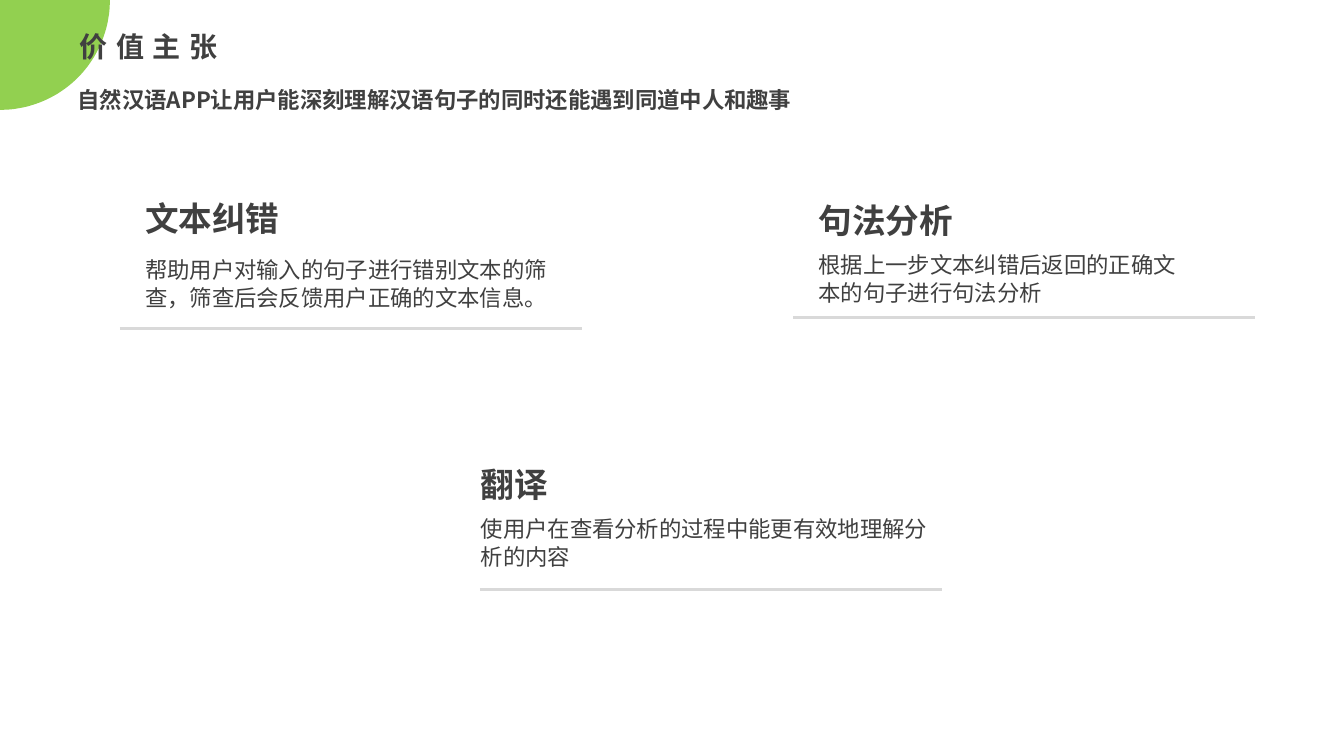
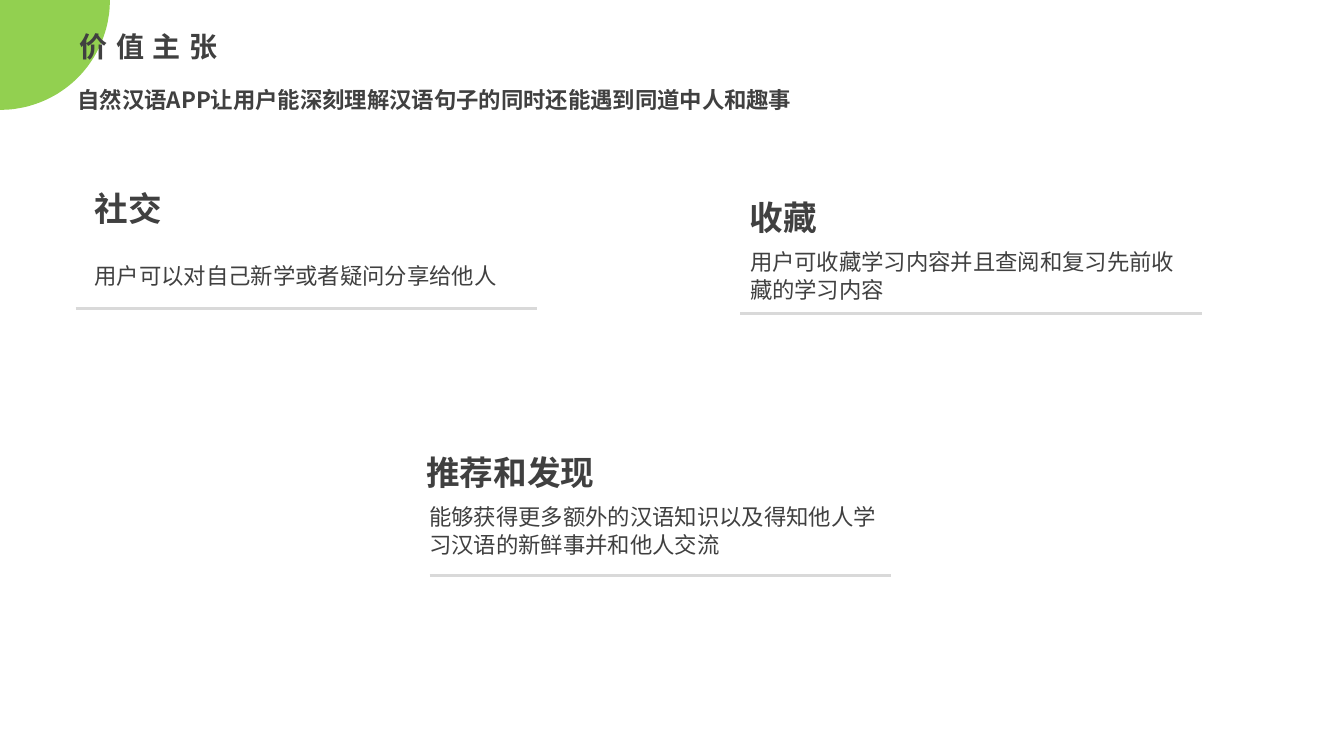
import math
from dataclasses import dataclass

from lxml import etree
from pptx import Presentation
from pptx.dml.color import RGBColor
from pptx.enum import shapes, text
from pptx.oxml.ns import qn
from pptx.util import Inches, Pt


@dataclass(frozen=True)
class Theme:
    ink: str = "404040"
    rule: str = "D9D9D9"
    accent: str = "92D050"
    font: str = "Noto Sans CJK SC"
    title_font: str = "Roboto"
    title_size: int = 20
    heading_size: int = 24
    body_size: int = 16
    body_leading: int = 20
    rule_width: int = 2


THEME = Theme()
TITLE = "价值主张"
SUBTITLE = "自然汉语APP让用户能深刻理解汉语句子的同时还能遇到同道中人和趣事"
RULE_LENGTH = 4.58
HEADING_HEIGHT = 0.5

SLIDES = [
    [
        dict(heading="文本纠错", body="帮助用户对输入的句子进行错别文本的筛查，筛查后会反馈用户正确的文本信息。",
             left=1.34, top=1.91, width=4.31, gap=0.07, rule=(1.19, 3.26)),
        dict(heading="句法分析", body="根据上一步文本纠错后返回的正确文本的句子进行句法分析",
             left=8.02, top=1.93, width=3.86, rule=(7.87, 3.15)),
        dict(heading="翻译", body="使用户在查看分析的过程中能更有效地理解分析的内容",
             left=4.67, top=4.55, width=4.67, rule=(4.76, 5.85)),
    ],
    [
        dict(heading="社交", body="用户可以对自己新学或者疑问分享给他人",
             left=0.84, top=1.82, width=4.49, height=0.38, gap=0.22, rule=(0.75, 3.06)),
        dict(heading="收藏", body="用户可收藏学习内容并且查阅和复习先前收藏的学习内容",
             left=7.34, top=1.9, width=4.45, rule=(7.34, 3.11)),
        dict(heading="推荐和发现", body="能够获得更多额外的汉语知识以及得知他人学习汉语的新鲜事并和他人交流",
             left=4.13, top=4.43, width=4.68, indent=0.03, rule=(4.26, 5.71)),
    ],
]


def write(sp, content, size, font=THEME.font, bold=False, leading=None, spacing=None):
    tf = sp.text_frame
    tf.word_wrap = True
    tf.auto_size = text.MSO_AUTO_SIZE.NONE
    tf.vertical_anchor = text.MSO_ANCHOR.TOP
    p = tf.paragraphs[0]
    p.alignment = text.PP_ALIGN.LEFT
    p.space_before = Pt(0)
    if leading:
        p.line_spacing = Pt(leading)
    r = p.add_run()
    r.text = content
    r.font.size = Pt(size)
    r.font.bold = bold
    r.font.name = font
    r.font.color.rgb = RGBColor.from_string(THEME.ink)
    rPr = r.font._element
    rPr.find(qn("a:latin")).addnext(
        etree.Element(qn("a:ea"), typeface=THEME.font))
    if spacing:
        rPr.set("spc", str(spacing * 100))


class Deck:
    def __init__(self, theme):
        self.theme = theme
        self.prs = Presentation()
        self.prs.slide_width = Inches(13.33)
        self.prs.slide_height = Inches(7.5)
        self.slide = None

    def add_slide(self, title, subtitle):
        self.slide = self.prs.slides.add_slide(self.prs.slide_layouts[5])
        self.corner(1.09)
        sp = self.slide.shapes.title
        sp.left, sp.top = Inches(0.69), Inches(0.24)
        sp.width, sp.height = Inches(2.72), Inches(0.44)
        write(sp, title, self.theme.title_size, font=self.theme.title_font,
              bold=True, spacing=6)
        self.text(subtitle, 0.67, 0.81, 7.36, 0.64,
                  size=self.theme.body_size, bold=True)

    def corner(self, radius, steps=48):
        arc = [(radius * math.cos(a), radius * math.sin(a))
               for a in (math.pi / 2 * i / steps for i in range(steps + 1))]
        builder = self.slide.shapes.build_freeform(0, 0, scale=Inches(1) / 1000)
        builder.add_line_segments([(x * 1000, y * 1000) for x, y in arc])
        sp = builder.convert_to_shape()
        sp.shadow.inherit = False
        sp.fill.solid()
        sp.fill.fore_color.rgb = RGBColor.from_string(self.theme.accent)
        sp.line.fill.background()
        self.slide.shapes.title._element.addprevious(sp._element)

    def text(self, content, left, top, width, height, **style):
        sp = self.slide.shapes.add_textbox(
            Inches(left), Inches(top), Inches(width), Inches(height))
        write(sp, content, **style)

    def rule(self, left, top):
        line = self.slide.shapes.add_connector(
            shapes.MSO_CONNECTOR.STRAIGHT, Inches(left), Inches(top),
            Inches(left + RULE_LENGTH), Inches(top))
        line.line.color.rgb = RGBColor.from_string(self.theme.rule)
        line.line.width = Pt(self.theme.rule_width)
        etree.SubElement(line._element.spPr, qn("a:effectLst"))

    def card(self, heading, body, left, top, width, rule,
             height=0.66, gap=0, indent=0):
        heading_width = 0.52 + len(heading) / 3
        self.text(heading, left, top, heading_width, HEADING_HEIGHT,
                  size=self.theme.heading_size, bold=True)
        self.text(body, left + indent, top + HEADING_HEIGHT + gap, width, height,
                  size=self.theme.body_size, leading=self.theme.body_leading)
        self.rule(*rule)


def main():
    deck = Deck(THEME)
    for cards in SLIDES:
        deck.add_slide(TITLE, SUBTITLE)
        for card in cards:
            deck.card(**card)
    deck.prs.save("out.pptx")


if __name__ == "__main__":
    main()
